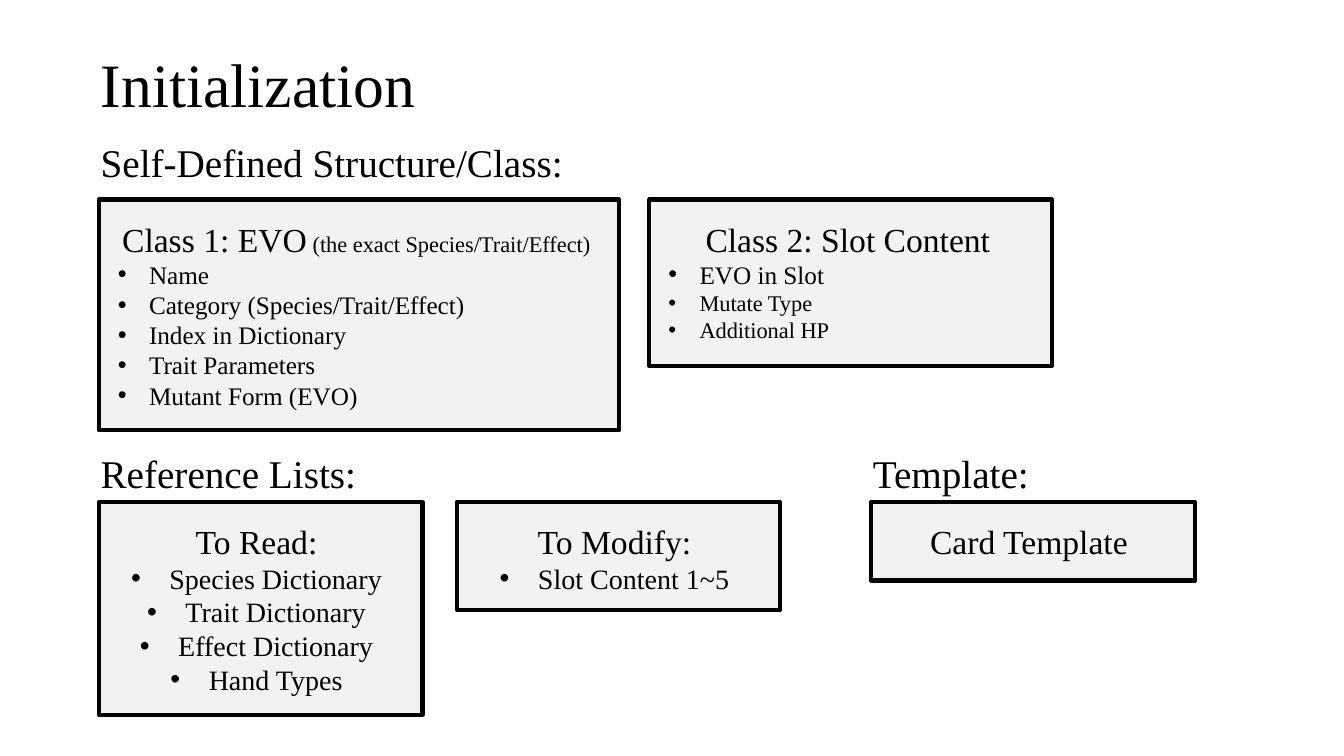
from lxml import etree
from pptx import Presentation
from pptx.dml.color import RGBColor
from pptx.enum.shapes import MSO_SHAPE
from pptx.enum.text import MSO_ANCHOR, MSO_AUTO_SIZE, PP_ALIGN
from pptx.oxml.ns import qn
from pptx.util import Inches, Pt

RECT = MSO_SHAPE.RECTANGLE
LEFT, CENTER = PP_ALIGN.LEFT, PP_ALIGN.CENTER
TOP, MIDDLE = MSO_ANCHOR.TOP, MSO_ANCHOR.MIDDLE

THEME = {
    "font": "Times New Roman", "ink": RGBColor(0, 0, 0),
    "fill": RGBColor(0xF2, 0xF2, 0xF2), "line": 3,
    "title": 44, "section": 28, "head": 24, "list": 20, "item": 18, "note": 16,
}

# Content: a run is (text, size name)
TITLE = "Initialization"
SECTIONS = [  # text, column, row, width
    ("Self-Defined Structure/Class:", "a", "class head", 6.67),
    ("Reference Lists:", "a", "list head", 6.67),
    ("Template:", "d", "list head", 3.3),
]
CARDS = [  # column, row, box size, text style, head runs, items
    ("c", "class", (3.99, 1.65), "class", [("Class 2: Slot Content", "head")],
     [("EVO in Slot", "item"), ("Mutate Type", "note"), ("Additional HP", "note")]),
    ("a", "class", (5.16, 2.29), "class",
     [("Class 1: EVO", "head"), (" (the exact Species/Trait/Effect)", "note")],
     [(name, "item") for name in (
         "Name", "Category (Species/Trait/Effect)", "Index in Dictionary",
         "Trait Parameters", "Mutant Form (EVO)")]),
    ("a", "list", (3.21, 2.11), "list", [("To Read:", "head")],
     [(name, "list") for name in (
         "Species Dictionary", "Trait Dictionary", "Effect Dictionary", "Hand Types")]),
    ("b", "list", (3.21, 1.07), "list", [("To Modify:", "head")],
     [("Slot Content 1~5", "list")]),
    ("d", "list", (3.21, 0.78), "list", [("Card Template", "head")], []),
]

# Grid, in inches
COLS = {"a": 0.98, "b": 4.53, "c": 6.44, "d": 8.64}
ROWS = {"class head": 1.32, "class": 1.98, "list head": 4.41, "list": 4.98}
HANG = 0.08   # section heads start this far left of their column
DROP = 0.14   # text starts this far below the top of its box
STYLES = {    # left pad, total side pad, bullet indent, item alignment
    "class": (0.09, 0.23, 0.31, LEFT),
    "list": (0.15, 0.38, 0.38, CENTER),
}


def put(obj, **vals):
    for key, val in vals.items():
        setattr(obj, key, val)


def write(par, runs, align=LEFT):
    par.alignment = align
    for text, size in runs:
        run = par.add_run()
        run.text = text
        put(run.font, name=THEME["font"], size=Pt(THEME[size]))
        run.font.color.rgb = THEME["ink"]


def bullet(par, indent):
    props = par._p.get_or_add_pPr()
    props.set("marL", str(Inches(indent)))
    props.set("indent", str(-Inches(indent)))
    etree.SubElement(props, qn("a:buFont")).set("typeface", "Arial")
    etree.SubElement(props, qn("a:buChar")).set("char", "•")


def add_text(slide, x, y, w, h):
    frame = slide.shapes.add_textbox(*map(Inches, (x, y, w, h))).text_frame
    put(frame, word_wrap=True, vertical_anchor=TOP,
        auto_size=MSO_AUTO_SIZE.SHAPE_TO_FIT_TEXT)
    return frame


def add_card(slide, col, row, size, style, head, items):
    x, y, (w, h) = COLS[col], ROWS[row], size
    pad, sides, indent, align = STYLES[style]

    # Frame
    box = slide.shapes.add_shape(RECT, *map(Inches, (x, y, w, h)))
    box.shadow.inherit = False
    box.fill.solid()
    box.fill.fore_color.rgb = THEME["fill"]
    box.line.color.rgb = THEME["ink"]
    box.line.width = Pt(THEME["line"])

    # Head and list
    frame = add_text(slide, x + pad, y + DROP, w - sides, h - 2 * DROP)
    write(frame.paragraphs[0], head, CENTER)
    for item in items:
        par = frame.add_paragraph()
        write(par, [item], align)
        bullet(par, indent)


def main():
    deck = Presentation()
    put(deck, slide_width=Inches(13.33), slide_height=Inches(7.5))
    slide = deck.slides.add_slide(deck.slide_layouts[5])

    # Title
    title = slide.shapes.title
    put(title, left=Inches(COLS["a"] - HANG), top=Inches(0.14),
        width=Inches(11.5), height=Inches(1.45))
    put(title.text_frame, vertical_anchor=MIDDLE, word_wrap=True,
        auto_size=MSO_AUTO_SIZE.NONE)
    par = title.text_frame.paragraphs[0]
    write(par, [(TITLE, "title")])
    par.line_spacing = 0.9

    # Cards, then section heads
    for card in CARDS:
        add_card(slide, *card)
    for text, col, row, width in SECTIONS:
        frame = add_text(slide, COLS[col] - HANG, ROWS[row], width, 0.57)
        write(frame.paragraphs[0], [(text, "section")])

    deck.save("out.pptx")


if __name__ == "__main__":
    main()
